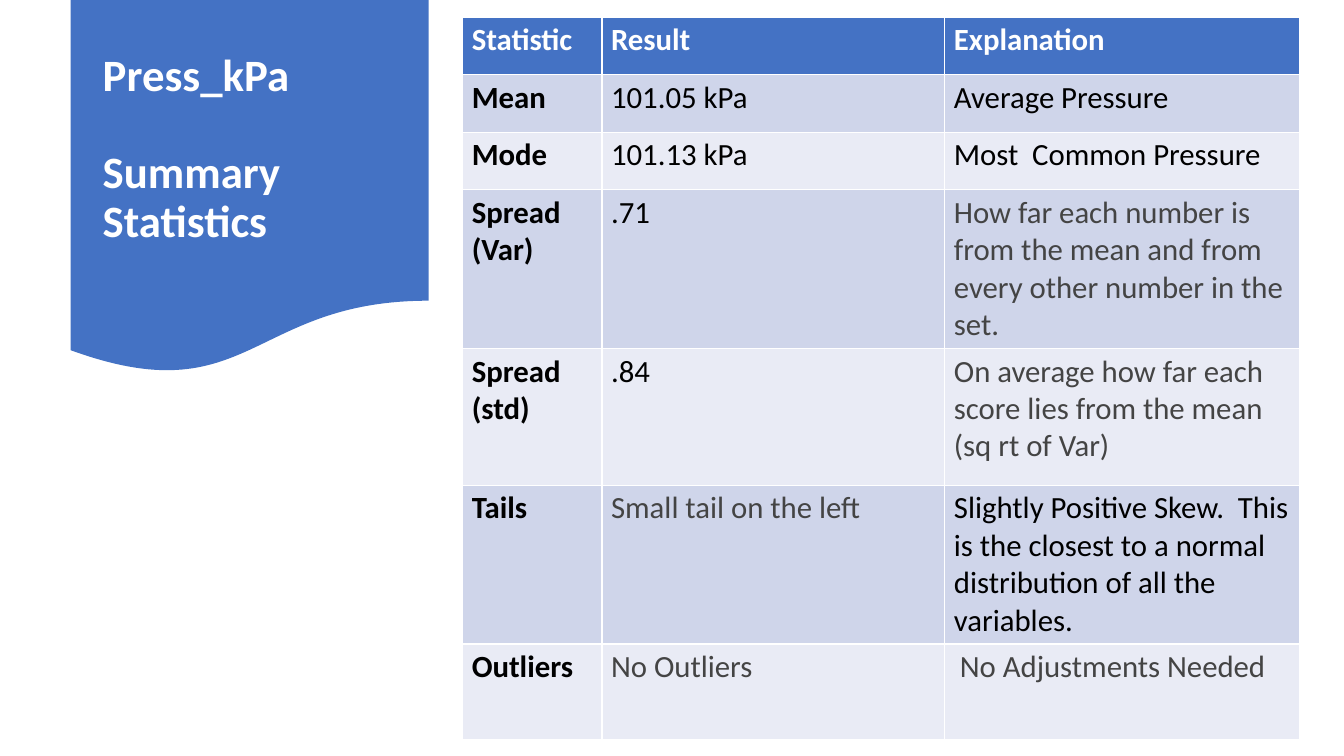
"""Build the pressure summary statistics slide."""
from dataclasses import dataclass

from pptx import Presentation
from pptx.dml.color import RGBColor
from pptx.enum.shapes import MSO_SHAPE
from pptx.enum.text import MSO_ANCHOR
from pptx.slide import Slide
from pptx.table import _Cell as Cell
from pptx.text.text import _Paragraph as Paragraph
from pptx.util import Cm, Pt

BLUE = RGBColor(0x44, 0x72, 0xC4)
BAND_DARK = RGBColor(0xCF, 0xD5, 0xEA)
BAND_LIGHT = RGBColor(0xE9, 0xEB, 0xF5)
WHITE = RGBColor(0xFF, 0xFF, 0xFF)
BLACK = RGBColor(0x00, 0x00, 0x00)
GREY = RGBColor(0x44, 0x44, 0x44)

FONT = "Calibri"
HEADINGS = ("Statistic", "Result", "Explanation")
COLUMN_WIDTHS = (3.51, 8.64, 8.94)
HEADER_HEIGHT = 1.45


@dataclass(frozen=True)
class Statistic:
    """One body row of the summary table."""

    name: str
    result: str
    explanation: str
    height: float = HEADER_HEIGHT
    result_color: RGBColor = BLACK
    explanation_color: RGBColor = BLACK
    explanation_indent: float = 0


STATISTICS = (
    Statistic("Mean", "101.05 kPa", "Average Pressure"),
    Statistic("Mode", "101.13 kPa", "Most\u00a0 Common Pressure"),
    Statistic("Spread (Var)", ".71",
              "How far each number is from the mean and from every other number in the set.",
              height=4, explanation_color=GREY),
    Statistic("Spread (std)", ".84",
              "On average how far each score lies from the mean (sq rt of\u00a0Var)",
              height=3.45, explanation_color=GREY),
    Statistic("Tails", "Small tail on the left",
              "Slightly Positive Skew.\u00a0 This is the closest to a normal "
              "distribution of all the variables.",
              height=4, result_color=GREY),
    Statistic("Outliers", "No Outliers", "No Adjustments Needed",
              height=2.41, result_color=GREY, explanation_color=GREY,
              explanation_indent=0.15),
)


def format_runs(para: Paragraph, size: int, color: RGBColor, bold: bool) -> None:
    """Apply the slide font to every run of a paragraph."""
    for span in para.runs:
        span.font.name = FONT
        span.font.size = Pt(size)
        span.font.bold = bold
        span.font.color.rgb = color


def fill_cell(cell: Cell, text: str, fill: RGBColor, color: RGBColor,
              bold: bool = False, indent: float = 0) -> None:
    """Write and colour one table cell."""
    cell.fill.solid()
    cell.fill.fore_color.rgb = fill
    cell.margin_left = cell.margin_right = Cm(0.23)
    cell.margin_top = cell.margin_bottom = Cm(0.11)
    cell.text_frame.text = text
    para = cell.text_frame.paragraphs[0]
    format_runs(para, 22, color, bold)
    if indent:
        para._p.get_or_add_pPr().set("marL", str(Cm(indent)))


def add_title(page: Slide) -> None:
    """Draw the wavy banner and its title."""
    banner = page.shapes.add_shape(
        MSO_SHAPE.FLOWCHART_DOCUMENT, Cm(1.78), Cm(0), Cm(9.02), Cm(9.45))
    banner.shadow.inherit = False
    banner.fill.solid()
    banner.fill.fore_color.rgb = BLUE
    banner.line.fill.background()

    box = page.shapes.add_textbox(Cm(2.34), Cm(0.48), Cm(7.9), Cm(6.58))
    frame = box.text_frame
    frame.word_wrap = True
    frame.vertical_anchor = MSO_ANCHOR.MIDDLE
    frame.text = "Press_kPa\nSummary Statistics"
    for para in frame.paragraphs:
        para.line_spacing = 0.9
        format_runs(para, 32, WHITE, True)
    frame.paragraphs[1].space_before = Pt(35)


def add_statistics(page: Slide) -> None:
    """Draw the table of summary statistics."""
    heights = [HEADER_HEIGHT] + [entry.height for entry in STATISTICS]
    table = page.shapes.add_table(
        len(heights), len(HEADINGS), Cm(11.66), Cm(0.43),
        Cm(sum(COLUMN_WIDTHS)), Cm(sum(heights))).table
    for column, width in zip(table.columns, COLUMN_WIDTHS):
        column.width = Cm(width)
    for row, height in zip(table.rows, heights):
        row.height = Cm(height)

    for index, heading in enumerate(HEADINGS):
        fill_cell(table.cell(0, index), heading, BLUE, WHITE, bold=True)
    for index, entry in enumerate(STATISTICS, start=1):
        band = BAND_DARK if index % 2 else BAND_LIGHT
        fill_cell(table.cell(index, 0), entry.name, band, BLACK, bold=True)
        fill_cell(table.cell(index, 1), entry.result, band, entry.result_color)
        fill_cell(table.cell(index, 2), entry.explanation, band,
                  entry.explanation_color, indent=entry.explanation_indent)


def main() -> None:
    """Create and save the deck."""
    deck = Presentation()
    deck.slide_width, deck.slide_height = Cm(33.87), Cm(19.05)
    page = deck.slides.add_slide(deck.slide_layouts[6])
    add_title(page)
    add_statistics(page)
    deck.save("out.pptx")


main()
